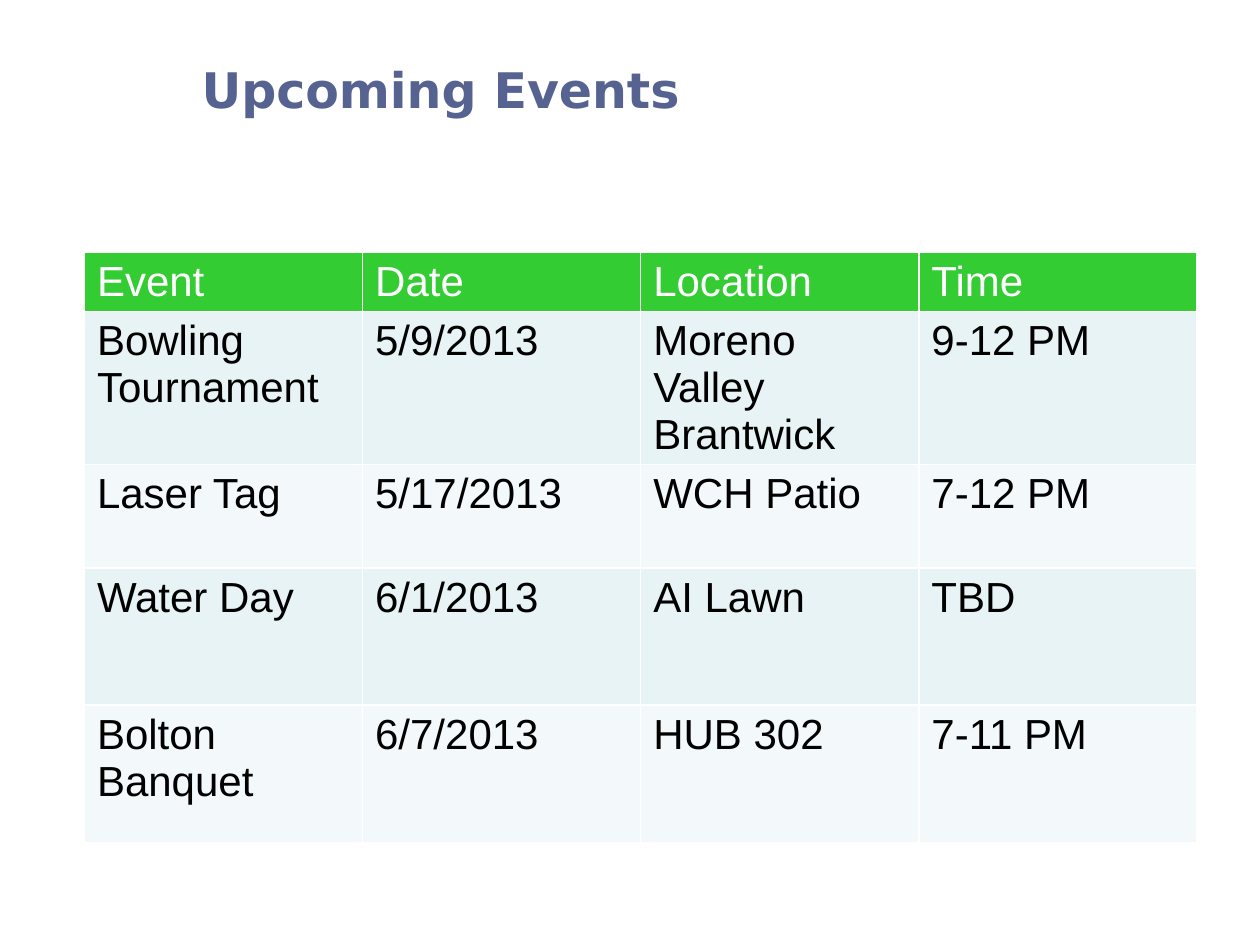
from pptx import Presentation
from pptx.dml.color import RGBColor
from pptx.enum.text import MSO_ANCHOR, PP_ALIGN
from pptx.util import Inches, Pt

TOP = MSO_ANCHOR.TOP
LEFT = PP_ALIGN.LEFT
WIDE, HIGH = 10, 7.5
HUES = {
    "title": "566290",
    "head": "33CC33",
    "odd": "E7F3F4",
    "even": "F3F9FA",
    "white": "FFFFFF",
    "black": "000000",
}
TITLE = {"name": "DejaVu Sans", "size": Pt(28), "bold": True}
CELL = {"name": "Arial", "size": Pt(24), "bold": False}
COLS = 4
ROWS = [0.43, 0.82, 0.82, 1.09, 1.09]
EVENTS = [
    ["Event", "Date", "Location", "Time"],
    ["Bowling Tournament", "5/9/2013", "Moreno Valley Brantwick", "9-12 PM"],
    ["Laser Tag", "5/17/2013", "WCH Patio", "7-12 PM"],
    ["Water Day", "6/1/2013", "AI Lawn", "TBD"],
    ["Bolton\nBanquet", "6/7/2013", "HUB 302", "7-11 PM"],
]


def paint(hue):
    return RGBColor.from_string(HUES[hue])


def style(frame, form, hue):
    for para in frame.paragraphs:
        para.alignment = LEFT
        for run in para.runs:
            for key, value in form.items():
                setattr(run.font, key, value)
            run.font.color.rgb = paint(hue)


def add_title(slide, text):
    title = slide.shapes.title
    box = {
        "left": Inches(WIDE * 0.15),
        "top": Inches(0.42),
        "width": Inches(WIDE * 0.55),
        "height": Inches(0.5),
    }
    for key, value in box.items():
        setattr(title, key, value)
    frame = title.text_frame
    frame.text = text
    frame.word_wrap = True
    frame.vertical_anchor = TOP
    style(frame, TITLE, "title")


def fill_cell(cell, text, row):
    cell.text = text
    cell.fill.solid()
    band = "head" if row == 0 else "odd" if row % 2 else "even"
    cell.fill.fore_color.rgb = paint(band)
    style(cell.text_frame, CELL, "black" if row else "white")


def add_grid(slide, data):
    table = slide.shapes.add_table(
        len(data), COLS, Inches(0.67), Inches(2),
        Inches(8.83), Inches(sum(ROWS)),
    ).table
    for row, (high, texts) in enumerate(zip(ROWS, data)):
        table.rows[row].height = Inches(high)
        for col, text in enumerate(texts):
            fill_cell(table.cell(row, col), text, row)


def main():
    deck = Presentation()
    deck.slide_width, deck.slide_height = Inches(WIDE), Inches(HIGH)
    slide = deck.slides.add_slide(deck.slide_layouts[5])
    add_title(slide, "Upcoming Events")
    add_grid(slide, EVENTS)
    deck.save("out.pptx")


if __name__ == "__main__":
    main()
